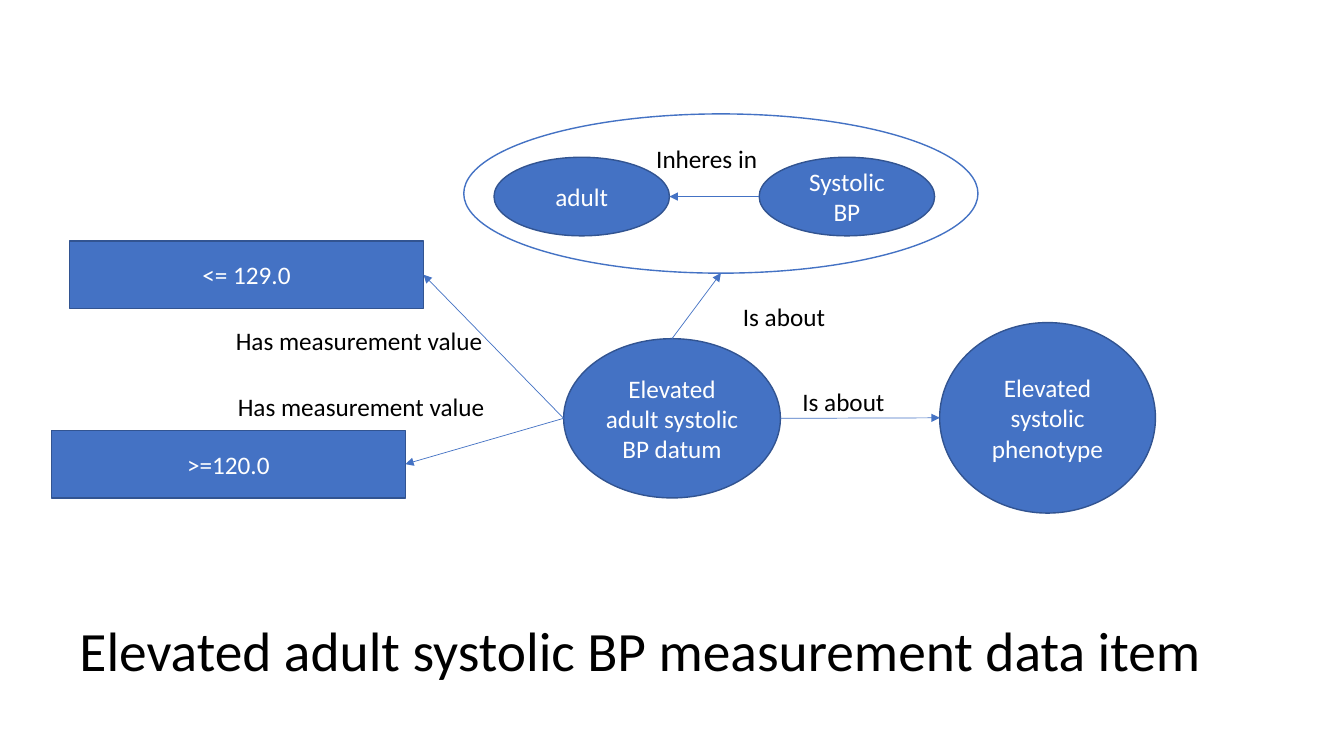
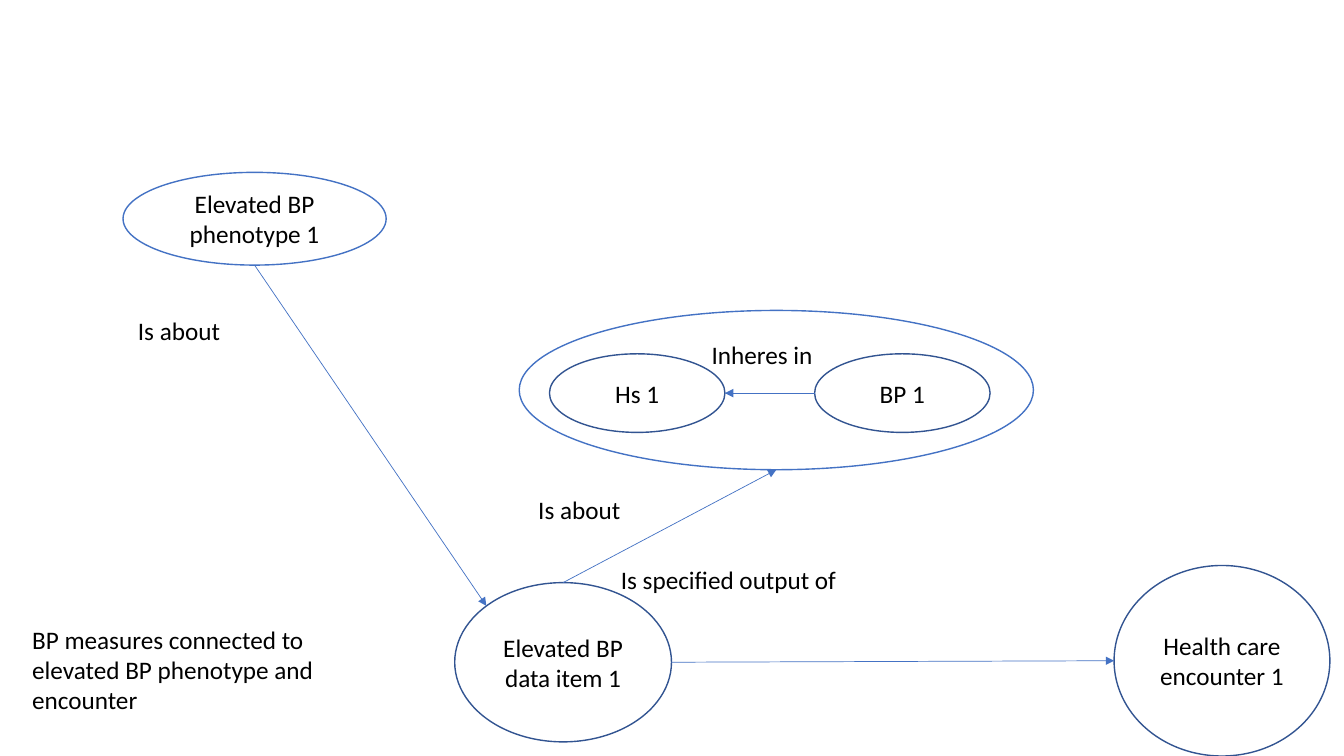
import pptx
import pptx.util
import pptx.dml.color
import pptx.enum.shapes
import pptx.enum.text
import pptx.oxml

Inches = pptx.util.Inches
Pt = pptx.util.Pt
RGB = pptx.dml.color.RGBColor
KIND = pptx.enum.shapes.MSO_SHAPE
TEXT = pptx.enum.text

BLUE = RGB(0x44, 0x72, 0xC4)
NAVY = RGB(0x32, 0x54, 0x91)
WHITE = RGB(0xFF, 0xFF, 0xFF)
BLACK = RGB(0, 0, 0)
FONT = "Calibri"

SOLID = (BLUE, NAVY, WHITE)
HOLLOW = (None, NAVY, BLACK)
PALE = (WHITE, BLUE, BLACK)
RING = (None, BLUE, BLACK)

SIDES = {
    "top": (0.5, 0),
    "left": (0, 0.5),
    "bottom": (0.5, 1),
    "right": (1, 0.5),
    "corner": (0.146, 0.146),
}

SLIDES = [
    {
        "pair": (4.6, 1.13, "adult", "Systolic BP", SOLID),
        "nodes": {
            "phenotype": ("Elevated systolic phenotype", KIND.OVAL, 9.32, 3.2, 2.14, 1.89, SOLID),
            "datum": ("Elevated adult systolic BP datum", KIND.OVAL, 5.59, 3.36, 2.15, 1.58, SOLID),
            "upper": ("<= 129.0", KIND.RECTANGLE, 0.69, 2.39, 3.51, 0.67, SOLID),
            "lower": (">=120.0", KIND.RECTANGLE, 0.51, 4.27, 3.51, 0.67, SOLID),
        },
        "links": [
            ("datum", "top", "ring", "bottom"),
            ("datum", "left", "upper", "right"),
            ("datum", "left", "lower", "right"),
            ("datum", "right", "phenotype", "left"),
        ],
        "labels": [
            ("Is about", 7.27, 2.94, 1.03),
            ("Has measurement value", 2.24, 3.18, 2.68),
            ("Has measurement value", 2.26, 3.83, 2.68),
            ("Is about", 7.86, 3.78, 1.03),
        ],
        "title": "Elevated adult systolic BP measurement data item",
    },
    {
        "pair": (5.15, 3.08, "Hs 1", "BP 1", HOLLOW),
        "nodes": {
            "visit": ("Health care encounter 1", KIND.OVAL, 11.05, 5.61, 2.14, 1.89, HOLLOW),
            "item": ("Elevated BP data item 1", KIND.OVAL, 4.51, 5.78, 2.15, 1.58, HOLLOW),
            "phenotype": ("Elevated BP phenotype 1", KIND.OVAL, 1.22, 1.71, 2.61, 0.92, PALE),
        },
        "links": [
            ("item", "right", "visit", "left"),
            ("item", "top", "ring", "bottom"),
            ("phenotype", "bottom", "item", "corner"),
        ],
        "labels": [
            ("Is specified output of", 6.06, 5.55, 2.37),
            ("Is about", 5.24, 4.86, 1.03),
            ("Is about", 1.27, 3.08, 1.03),
        ],
        "note": "BP measures connected to elevated BP phenotype and encounter",
    },
]


def write(frame, text, color, size=18):
    frame.text = text
    para = frame.paragraphs[0]
    para.font.name = FONT
    para.font.size = Pt(size)
    para.font.color.rgb = color
    return para


def add_node(home, text, kind, x, y, w, h, style):
    fill, edge, ink = style
    node = home.add_shape(kind, Inches(x), Inches(y), Inches(w), Inches(h))
    node.shadow.inherit = False
    if fill is None:
        node.fill.background()
    else:
        node.fill.solid()
        node.fill.fore_color.rgb = fill
    node.line.color.rgb = edge
    node.line.width = Pt(1)
    if text:
        node.text_frame.word_wrap = True
        node.text_frame.vertical_anchor = TEXT.MSO_ANCHOR.MIDDLE
        write(node.text_frame, text, ink).alignment = TEXT.PP_ALIGN.CENTER
    return node


def add_text(home, text, x, y, w, h=0.4, wrap=False, size=18):
    box = home.add_textbox(Inches(x), Inches(y), Inches(w), Inches(h))
    frame = box.text_frame
    para = write(frame, text, BLACK, size)
    frame.word_wrap = wrap
    frame.auto_size = TEXT.MSO_AUTO_SIZE.SHAPE_TO_FIT_TEXT
    return frame, para


def spot(node, side):
    across, down = SIDES[side]
    return (int(node.left + across * node.width),
            int(node.top + down * node.height))


def add_link(home, start, out, end, into):
    link = home.add_connector(pptx.enum.shapes.MSO_CONNECTOR.STRAIGHT,
                              *spot(start, out), *spot(end, into))
    link.line.color.rgb = BLUE
    link.line.width = Pt(0.5)
    ns = pptx.oxml.ns.qn
    tail = link.line._get_or_add_ln().makeelement(ns("a:tailEnd"), {"type": "triangle"})
    link.line._get_or_add_ln().append(tail)
    props = link._element.spPr
    props.append(props.makeelement(ns("a:effectLst"), {}))


def add_pair(home, x, y, left, right, style):
    group = home.add_group_shape().shapes
    bearer, trait = [
        add_node(group, text, KIND.OVAL, x + shift, y + 0.43, 1.74, 0.78, style)
        for text, shift in ((left, 0.3), (right, 2.93))
    ]
    add_link(group, trait, "left", bearer, "right")
    add_text(group, "Inheres in", x + 1.81, y + 0.24, 1.22)
    return add_node(group, "", KIND.OVAL, x, y, 5.1, 1.58, RING)


def add_title(home, text):
    frame, para = add_text(home, text, 0.69, 6.15, 11.5, 0.7, True, 39.6)
    frame.auto_size = TEXT.MSO_AUTO_SIZE.NONE
    frame.vertical_anchor = TEXT.MSO_ANCHOR.MIDDLE
    para.line_spacing = 0.8


deck = pptx.Presentation()
deck.slide_width = Inches(13.33)
deck.slide_height = Inches(7.5)

for page in SLIDES:
    home = deck.slides.add_slide(deck.slide_layouts[6]).shapes
    nodes = {name: add_node(home, *node) for name, node in page["nodes"].items()}
    nodes["ring"] = add_pair(home, *page["pair"])
    for start, out, end, into in page["links"]:
        add_link(home, nodes[start], out, nodes[end], into)
    for label in page["labels"]:
        add_text(home, *label)
    if "title" in page:
        add_title(home, page["title"])
    if "note" in page:
        add_text(home, page["note"], 0.22, 6.14, 3.75, 1.01, True)

deck.save("out.pptx")
